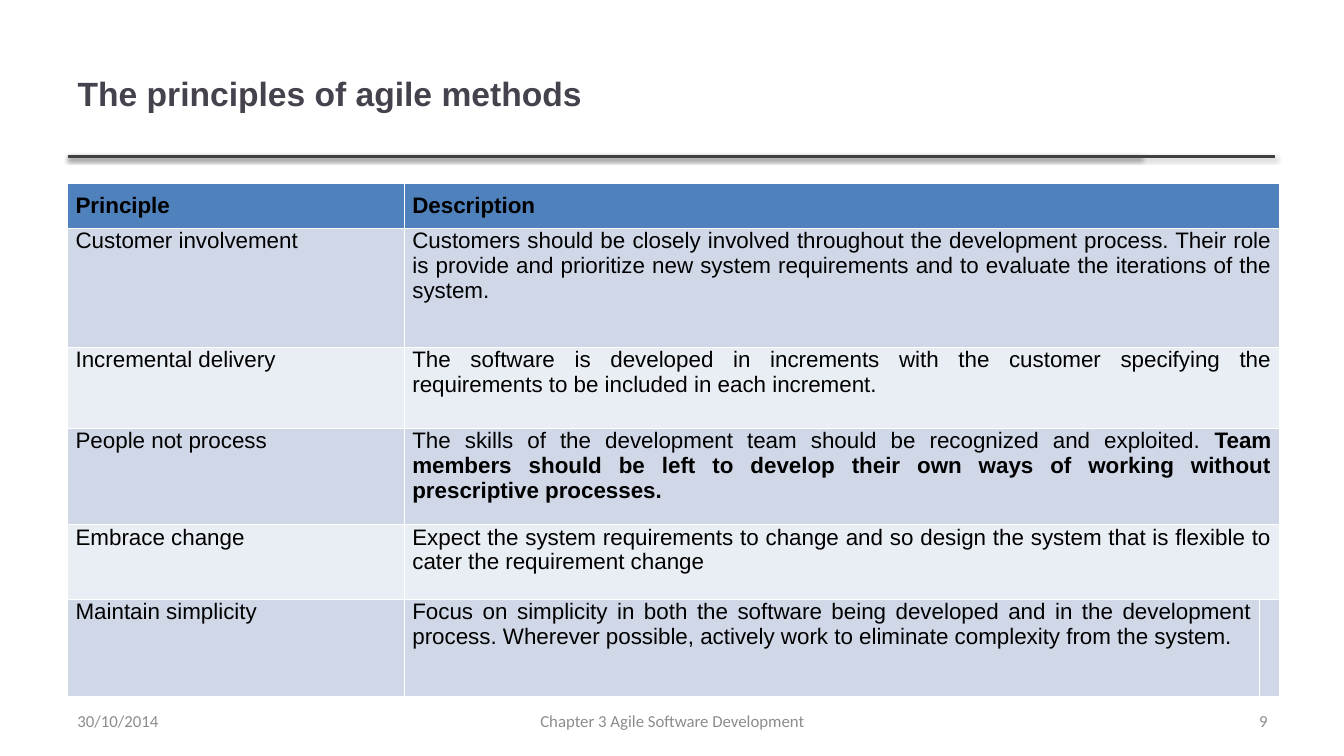
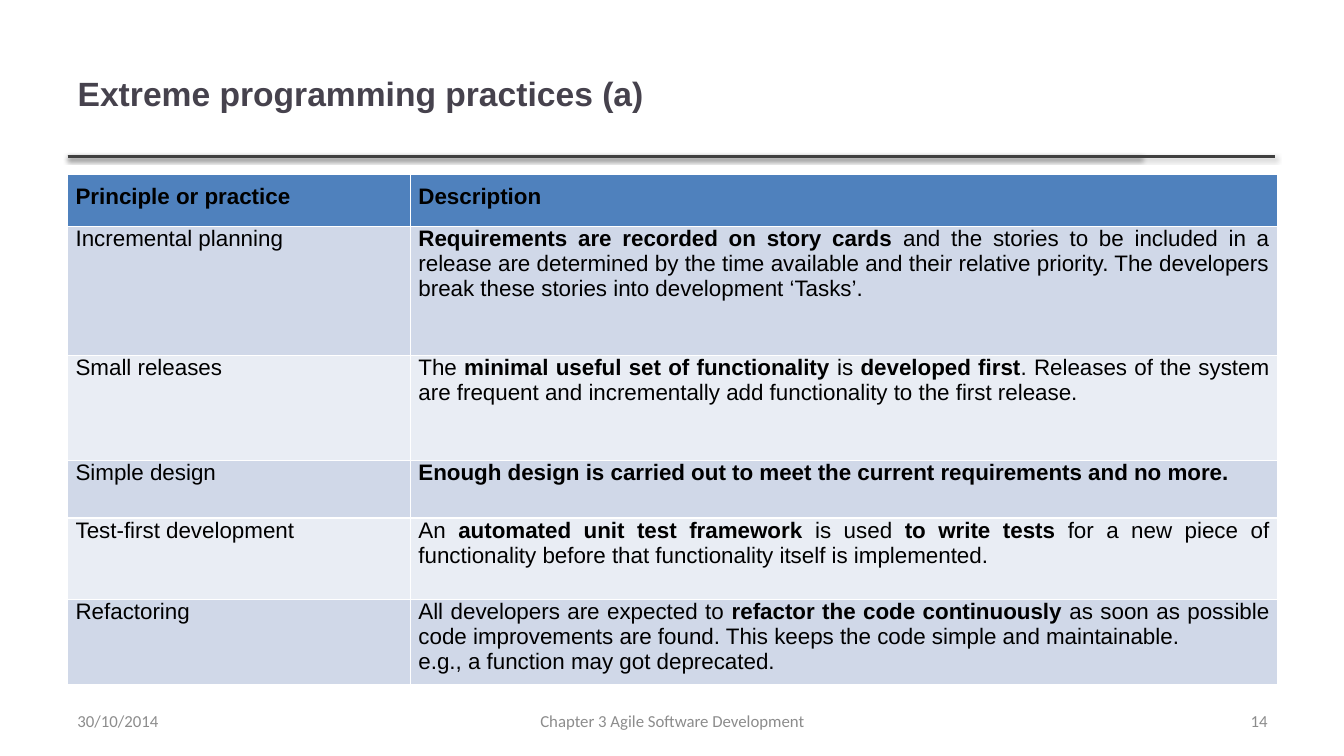
import pptx
import pptx.util
import pptx.dml.color
import pptx.enum.shapes
import pptx.enum.text
import pptx.oxml

Inches = pptx.util.Inches
Pt = pptx.util.Pt
Align = pptx.enum.text.PP_ALIGN
Anchor = pptx.enum.text.MSO_ANCHOR

COLORS = {"title": "46424D", "rule": "404040", "footer": "8C8C8C", "text": "000000",
          "header": "4F81BD", "odd": "D0D8E8", "even": "E9EDF4"}
FONTS = {"title": {"name": "Arial", "size": Pt(24), "bold": True},
         "footer": {"name": "Calibri", "size": Pt(12)},
         "text": {"name": "Arial", "size": Pt(16)}}
LEFT = 0.67
RULE_TOP = 1.55
RULE_ENDS = (11.32, 12.65)
RULE_SHADOW = (
    '<a:effectLst xmlns:a="http://schemas.openxmlformats.org/drawingml/2006/main">'
    '<a:outerShdw blurRad="40000" dist="20000" dir="5400000" rotWithShape="0">'
    '<a:srgbClr val="000000"><a:alpha val="38000"/></a:srgbClr>'
    '</a:outerShdw></a:effectLst>')
DATE = "30/10/2014"
CHAPTER = "Chapter 3 Agile Software Development"

SLIDES = [
    {"title": "The principles of agile methods", "number": 9, "top": 1.82,
     "columns": [3.34, 8.48, 0.18], "heights": [0.44, 1.18, 0.8, 0.96, 0.74, 0.96],
     "rows": [
         ("Principle", "Description"),
         ("Customer involvement",
          "Customers should be closely involved throughout the development process. Their role is "
          "provide and prioritize new system requirements and to evaluate the iterations of the system."),
         ("Incremental delivery",
          "The software is developed in increments with the customer specifying the requirements "
          "to be included in each increment."),
         ("People not process",
          "The skills of the development team should be recognized and exploited. **Team members "
          "should be left to develop their own ways of working without prescriptive processes.**"),
         ("Embrace change",
          "Expect the system requirements to change and so design the system that is flexible to "
          "cater the requirement change"),
         ("Maintain simplicity",
          "Focus on simplicity in both the software being developed and in the development process. "
          "Wherever possible, actively work to eliminate complexity from the system.", ""),
     ]},
    {"title": "Extreme programming practices (a)", "number": 14, "top": 1.73,
     "columns": [3.4, 8.6], "heights": [0.52, 1.28, 1.04, 0.57, 0.81, 0.81],
     "rows": [
         ("Principle or practice", "Description"),
         ("Incremental planning",
          "**Requirements are recorded on story cards **and the stories to be included in a release "
          "are determined by the time available and their relative priority. The developers break "
          "these stories into development ‘Tasks’."),
         ("Small releases",
          "The **minimal useful set of functionality **is** developed first**. Releases of the "
          "system are frequent and incrementally add functionality to the first release."),
         ("Simple design",
          "**Enough design is carried out to meet the current requirements and no more.**"),
         ("Test-first development",
          "An **automated unit test framework** is used **to write tests** for a new piece of "
          "functionality before that functionality itself is implemented."),
         ("Refactoring",
          "All developers are expected to **refactor the code continuously **as soon as possible "
          "code improvements are found. This keeps the code simple and maintainable.\n"
          "e.g., a function may got deprecated."),
     ]},
]


def rgb(name):
    return pptx.dml.color.RGBColor.from_string(COLORS[name])


def apply(target, values):
    for name, value in values.items():
        setattr(target, name, value)


def style_font(font, role):
    apply(font, FONTS[role])
    font.color.rgb = rgb(role)


def write_line(frame, text, role, alignment):
    apply(frame, {"text": text, "word_wrap": True, "vertical_anchor": Anchor.MIDDLE})
    paragraph = frame.paragraphs[0]
    paragraph.alignment = alignment
    style_font(paragraph.runs[0].font, role)


def add_rules(slide):
    for end in RULE_ENDS:
        rule = slide.shapes.add_connector(
            pptx.enum.shapes.MSO_CONNECTOR.STRAIGHT,
            Inches(LEFT), Inches(RULE_TOP), Inches(end), Inches(RULE_TOP))
        rule.line.width = Pt(2)
        rule.line.color.rgb = rgb("rule")
        rule.element.spPr.append(pptx.oxml.parse_xml(RULE_SHADOW))


def add_title(slide, text):
    title = slide.shapes.title
    apply(title, {"left": Inches(LEFT), "top": Inches(0.3),
                  "width": Inches(10.63), "height": Inches(1.25)})
    write_line(title.text_frame, text, "title", Align.LEFT)


def add_footers(slide, number):
    footers = [(LEFT, 3.11, DATE, Align.LEFT), (4.56, 4.22, CHAPTER, Align.CENTER),
               (9.56, 3.11, str(number), Align.RIGHT)]
    for left, width, text, alignment in footers:
        box = slide.shapes.add_textbox(Inches(left), Inches(6.95), Inches(width), Inches(0.4))
        write_line(box.text_frame, text, "footer", alignment)


def fill_cell(cell, text, is_header, color):
    apply(cell, {"margin_left": Inches(0.08), "margin_right": Inches(0.08),
                 "margin_top": Inches(0.1 if is_header else 0), "margin_bottom": Inches(0.1)})
    cell.fill.solid()
    cell.fill.fore_color.rgb = rgb(color)
    for index, line in enumerate(text.split("\n")):
        frame = cell.text_frame
        paragraph = frame.add_paragraph() if index else frame.paragraphs[0]
        paragraph.alignment = Align.JUSTIFY
        for part, words in enumerate(line.split("**")):
            if words:
                run = paragraph.add_run()
                run.text = words
                style_font(run.font, "text")
                run.font.bold = is_header or part % 2 == 1


def add_principles(slide, content):
    rows, columns, heights = content["rows"], content["columns"], content["heights"]
    table = slide.shapes.add_table(
        len(rows), len(columns), Inches(LEFT), Inches(content["top"]),
        Inches(sum(columns)), Inches(sum(heights))).table
    for column, width in zip(table.columns, columns):
        column.width = Inches(width)
    for index, (texts, height) in enumerate(zip(rows, heights)):
        table.rows[index].height = Inches(height)
        color = "header" if index == 0 else ("even", "odd")[index % 2]
        for position, text in enumerate(texts):
            fill_cell(table.cell(index, position), text, index == 0, color)
        if len(texts) < len(columns):
            table.cell(index, len(texts) - 1).merge(table.cell(index, len(columns) - 1))


def main():
    presentation = pptx.Presentation()
    apply(presentation, {"slide_width": Inches(13.33), "slide_height": Inches(7.5)})
    for content in SLIDES:
        slide = presentation.slides.add_slide(presentation.slide_layouts[5])
        add_rules(slide)
        add_title(slide, content["title"])
        add_principles(slide, content)
        add_footers(slide, content["number"])
    presentation.save("out.pptx")


if __name__ == "__main__":
    main()
